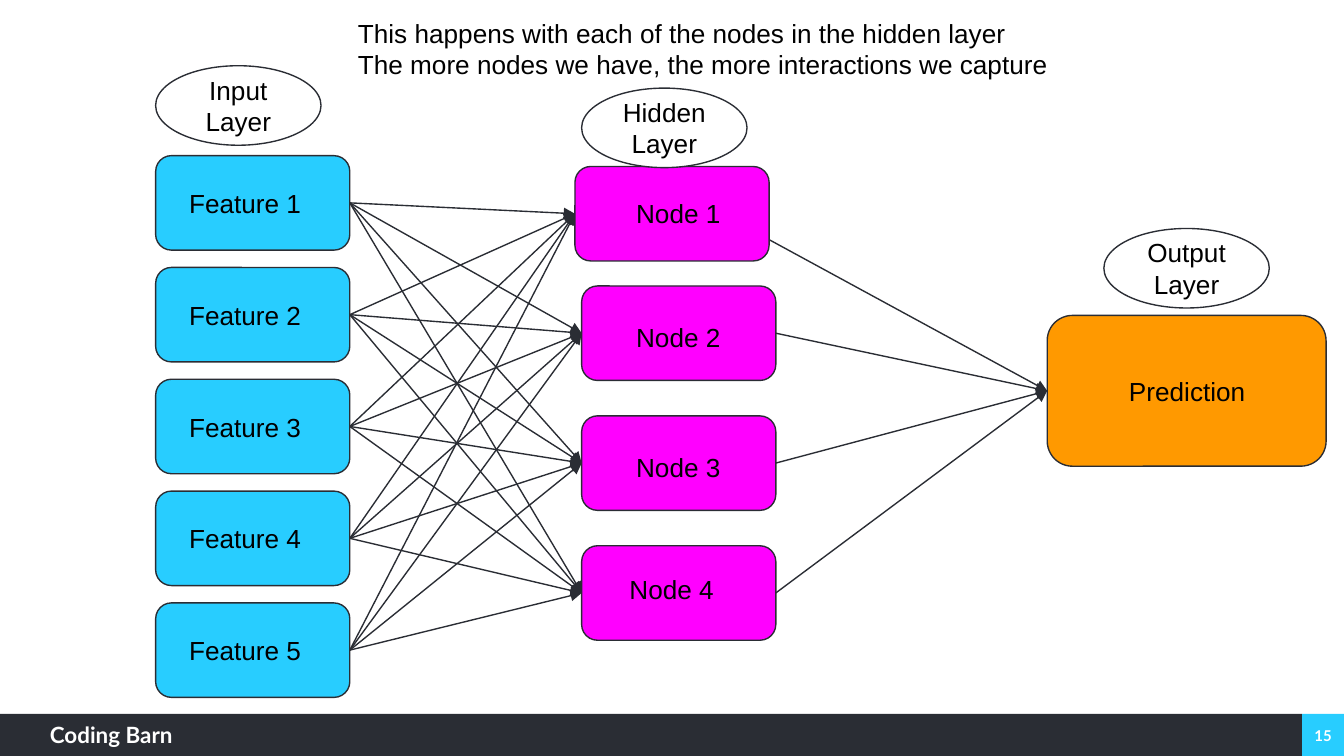
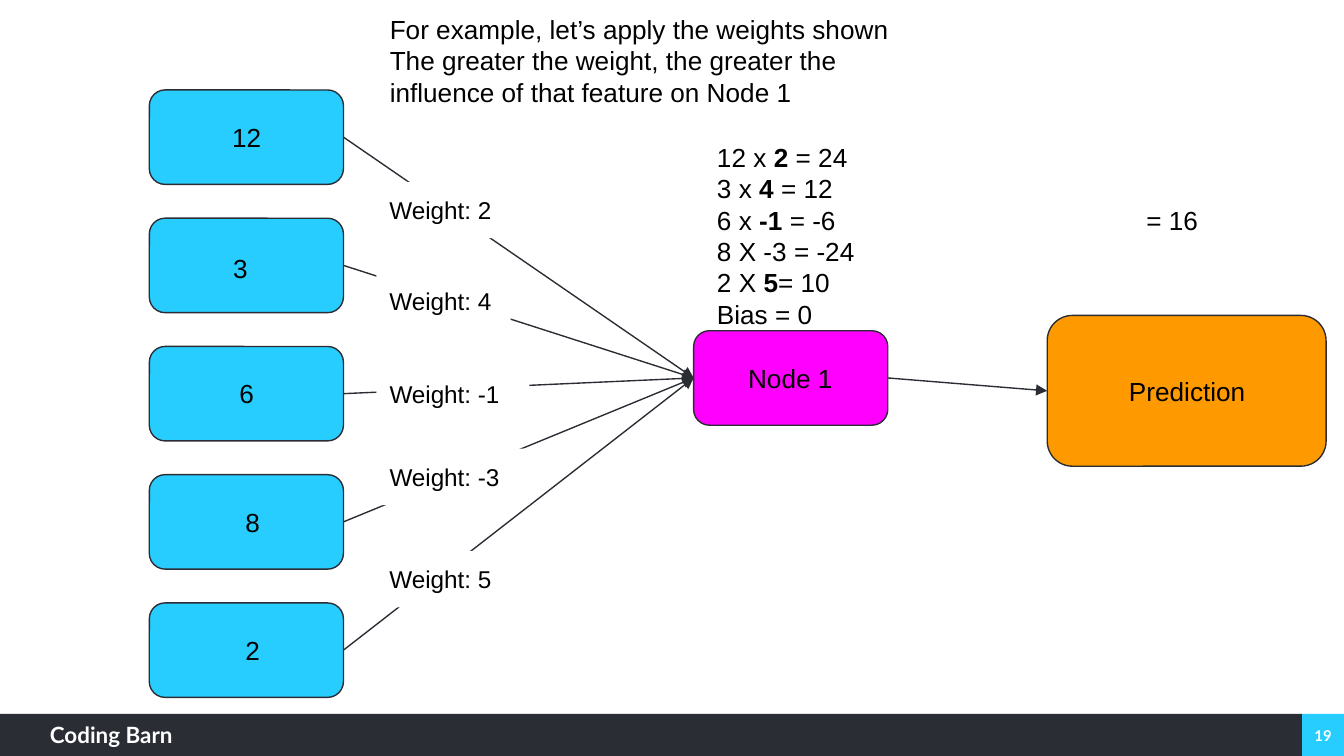
from dataclasses import dataclass

from lxml import etree
from pptx import Presentation
from pptx.dml.color import RGBColor
from pptx.enum.shapes import MSO_CONNECTOR, MSO_SHAPE
from pptx.enum.text import MSO_ANCHOR, MSO_AUTO_SIZE, PP_ALIGN
from pptx.oxml.ns import qn
from pptx.util import Pt

RECT, ROUND, OVAL = MSO_SHAPE.RECTANGLE, MSO_SHAPE.ROUNDED_RECTANGLE, MSO_SHAPE.OVAL
STRAIGHT = MSO_CONNECTOR.STRAIGHT
LEFT, CENTER = PP_ALIGN.LEFT, PP_ALIGN.CENTER
TOP, MIDDLE = MSO_ANCHOR.TOP, MSO_ANCHOR.MIDDLE
NO_FIT = MSO_AUTO_SIZE.NONE
WEST, EAST = 1, 3
TITLE_ONLY = 5


@dataclass(frozen=True)
class Theme:
    dark: str = "2A2D34"
    cyan: str = "28CDFF"
    pink: str = "FF00FF"
    gold: str = "FF9900"
    white: str = "FFFFFF"
    black: str = "000000"
    body: str = "Arial"
    brand: str = "Lato"
    size: float = 14
    small: float = 13
    foot: float = 12
    page: float = 8
    line: float = 0.75


THEME = Theme()


@dataclass(frozen=True)
class Area:
    left: float
    top: float
    width: float
    height: float

    def points(self) -> tuple:
        return Pt(self.left), Pt(self.top), Pt(self.width), Pt(self.height)


@dataclass(frozen=True)
class Style:
    size: float = THEME.size
    font: str = THEME.body
    color: str = THEME.black
    bold: bool = False
    align: PP_ALIGN = LEFT
    anchor: MSO_ANCHOR = TOP
    inset: tuple = (7.2, 7.2)


PLAIN = Style()
MID = Style(align=CENTER)
BADGE = Style(align=CENTER, anchor=MIDDLE)
WEIGHT = Style(size=THEME.small)
BRAND = Style(THEME.foot, THEME.brand, THEME.white, True, inset=(0, 0))
PAGE = Style(THEME.page, THEME.brand, THEME.white, True, CENTER, MIDDLE, (5, 3))


@dataclass(frozen=True)
class Card:
    """A rounded box; dx and dy place its label from the box corner."""
    text: str
    left: float
    top: float
    fill: str
    dx: float = 10.8
    dy: float = 9.8
    width: float = 104
    height: float = 50.6
    span: float = 82
    style: Style = MID


# Text: each line is a string, or a list of (text, bold) parts
def write(shape, lines: list, style: Style) -> None:
    frame = shape.text_frame
    frame.word_wrap = True
    frame.auto_size = NO_FIT
    frame.vertical_anchor = style.anchor
    across, down = style.inset
    frame.margin_left = frame.margin_right = Pt(across)
    frame.margin_top = frame.margin_bottom = Pt(down)
    for i, line in enumerate(lines):
        para = frame.add_paragraph() if i else frame.paragraphs[0]
        para.alignment = style.align
        para.font.size = Pt(style.size)
        para.font.name = style.font
        para.font.bold = style.bold
        para.font.color.rgb = RGBColor.from_string(style.color)
        parts = [(line, style.bold)] if isinstance(line, str) else line
        for text, bold in parts:
            run = para.add_run()
            run.text = text
            if bold != style.bold:
                run.font.bold = bold


def add_text(slide, area: Area, lines: list, style: Style = PLAIN):
    box = slide.shapes.add_textbox(*area.points())
    write(box, lines, style)
    return box


def add_form(slide, kind, area: Area, fill: str, edge: bool = True):
    form = slide.shapes.add_shape(kind, *area.points())
    form.shadow.inherit = False
    form.fill.solid()
    form.fill.fore_color.rgb = RGBColor.from_string(fill)
    if edge:
        form.line.color.rgb = RGBColor.from_string(THEME.dark)
        form.line.width = Pt(THEME.line)
    else:
        form.line.fill.background()
    return form


def add_card(slide, card: Card):
    form = add_form(slide, ROUND, Area(card.left, card.top, card.width, card.height), card.fill)
    area = Area(card.left + card.dx, card.top + card.dy, card.span, 31.7)
    add_text(slide, area, [card.text], card.style)
    return form


def add_badge(slide, text: str, left: float, top: float) -> None:
    form = add_form(slide, OVAL, Area(left, top, 88.6, 42.6), THEME.white)
    write(form, [text], BADGE)


# Arrow from the right side of one box, or a free point, to the left of another
def add_arrow(slide, goal, start=None, point: tuple = (0, 0)) -> None:
    x, y = map(Pt, point)
    link = slide.shapes.add_connector(STRAIGHT, x, y, x, y)
    if start is not None:
        link.begin_connect(start, EAST)
    link.end_connect(goal, WEST)
    link.line.color.rgb = RGBColor.from_string(THEME.dark)
    link.line.width = Pt(THEME.line)
    props = link.element.spPr
    etree.SubElement(props.find(qn("a:ln")), qn("a:tailEnd"), type="triangle")
    etree.SubElement(props, qn("a:effectLst"))


# Title and footer band shared by the slides
def add_page(deck, number: int, area: Area, lines: list):
    slide = deck.slides.add_slide(deck.slide_layouts[TITLE_ONLY])
    title = slide.shapes.title
    title.left, title.top, title.width, title.height = area.points()
    write(title, lines, PLAIN)
    add_form(slide, RECT, Area(697.5, 382.5, 22.5, 22.5), THEME.cyan, False)
    add_form(slide, RECT, Area(0, 382.5, 697.5, 22.5), THEME.dark, False)
    add_text(slide, Area(26.8, 386.2, 113, 16.6), ["Coding Barn"], BRAND)
    add_text(slide, Area(698, 383.5, 21.6, 21.6), [str(number)], PAGE)
    return slide


GOAL = Card("Prediction", 561, 169, THEME.gold, 23, 24.8, 149.4, 80.8, 104)


def build_layers(deck) -> None:
    slide = add_page(deck, 15, Area(184.5, 2, 392, 48), [
        "This happens with each of the nodes in the hidden layer",
        "The more nodes we have, the more interactions we capture",
    ])
    # Boxes
    inputs = [
        add_card(slide, Card(f"Feature {i + 1}", 83.4, 83.4 + 59.9 * i, THEME.cyan, style=PLAIN))
        for i in range(5)
    ]
    spots = [(308, 89.2, 14.4, 9.4), (311.6, 153.2, 10.8, 11.6),
             (311.6, 222.8, 10.8, 11.8), (311.6, 292.4, 7.2, 7.6)]
    nodes = [
        add_card(slide, Card(f"Node {i}", left, top, THEME.pink, dx, dy))
        for i, (left, top, dx, dy) in enumerate(spots, 1)
    ]
    goal = add_card(slide, GOAL)
    # Arrows
    for node in nodes:
        for item in inputs:
            add_arrow(slide, node, item)
    add_arrow(slide, goal, point=(412.4, 128.6))
    for node in nodes[1:]:
        add_arrow(slide, goal, node)
    # Layer names
    for name, left, top in [("Input", 83.4, 35.2), ("Output", 591.4, 122.4),
                            ("Hidden", 311.6, 47.2)]:
        add_badge(slide, f"{name} Layer", left, top)


def build_weights(deck) -> None:
    slide = add_page(deck, 19, Area(201.6, 0, 294.5, 99.4), [
        "For example, let’s apply the weights shown",
        "The greater the weight, the greater the influence of that feature on Node 1",
    ])
    # Boxes
    values = [("12", 11.2, 9.4), ("3", 7.8, 11), ("6", 11.2, 9.6),
              ("8", 14.4, 9.6), ("2", 14.4, 9.8)]
    inputs = [
        add_card(slide, Card(text, 80, 48.2 + 68.7 * i, THEME.cyan, dx, dy))
        for i, (text, dx, dy) in enumerate(values)
    ]
    node = add_card(slide, Card("Node 1", 371.6, 177.2, THEME.pink))
    goal = add_card(slide, GOAL)
    # Arrows
    for item in inputs:
        add_arrow(slide, node, item)
    add_arrow(slide, goal, node)
    # Weights
    for value, top, width in [(2, 97.4, 72), (4, 146.2, 72), (-1, 196.2, 82),
                              (-3, 240.4, 82), (5, 295.2, 72)]:
        tag = add_text(slide, Area(201.6, top, width, 30.2), [f"Weight: {value}"], WEIGHT)
        tag.fill.solid()
        tag.fill.fore_color.rgb = RGBColor.from_string(THEME.white)
    # Sums
    add_text(slide, Area(377, 68.4, 93, 116.6), [
        [("12 x ", False), ("2 ", True), ("= 24", False)],
        [("3 x ", False), ("4 ", True), ("= 12", False)],
        [("6 x ", False), ("-1 ", True), ("= -6", False)],
        "8 X -3 = -24",
        [("2 X ", False), ("5", True), ("= 10", False)],
        "Bias = 0",
    ])
    add_text(slide, Area(607, 102.2, 57.6, 31.7), ["= 16"])


def main() -> None:
    deck = Presentation()
    deck.slide_width, deck.slide_height = Pt(720), Pt(405)
    build_layers(deck)
    build_weights(deck)
    deck.save("out.pptx")


if __name__ == "__main__":
    main()
